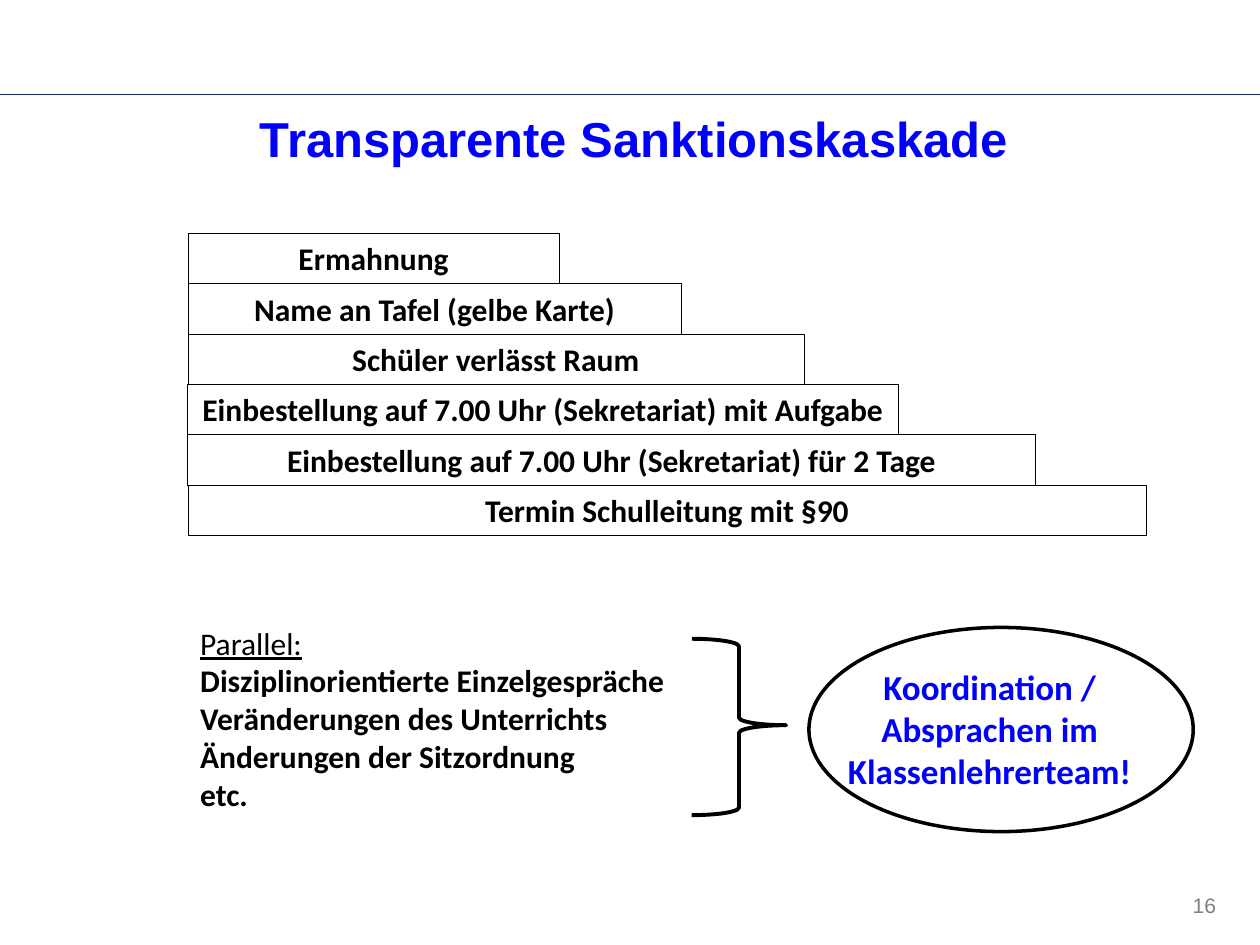
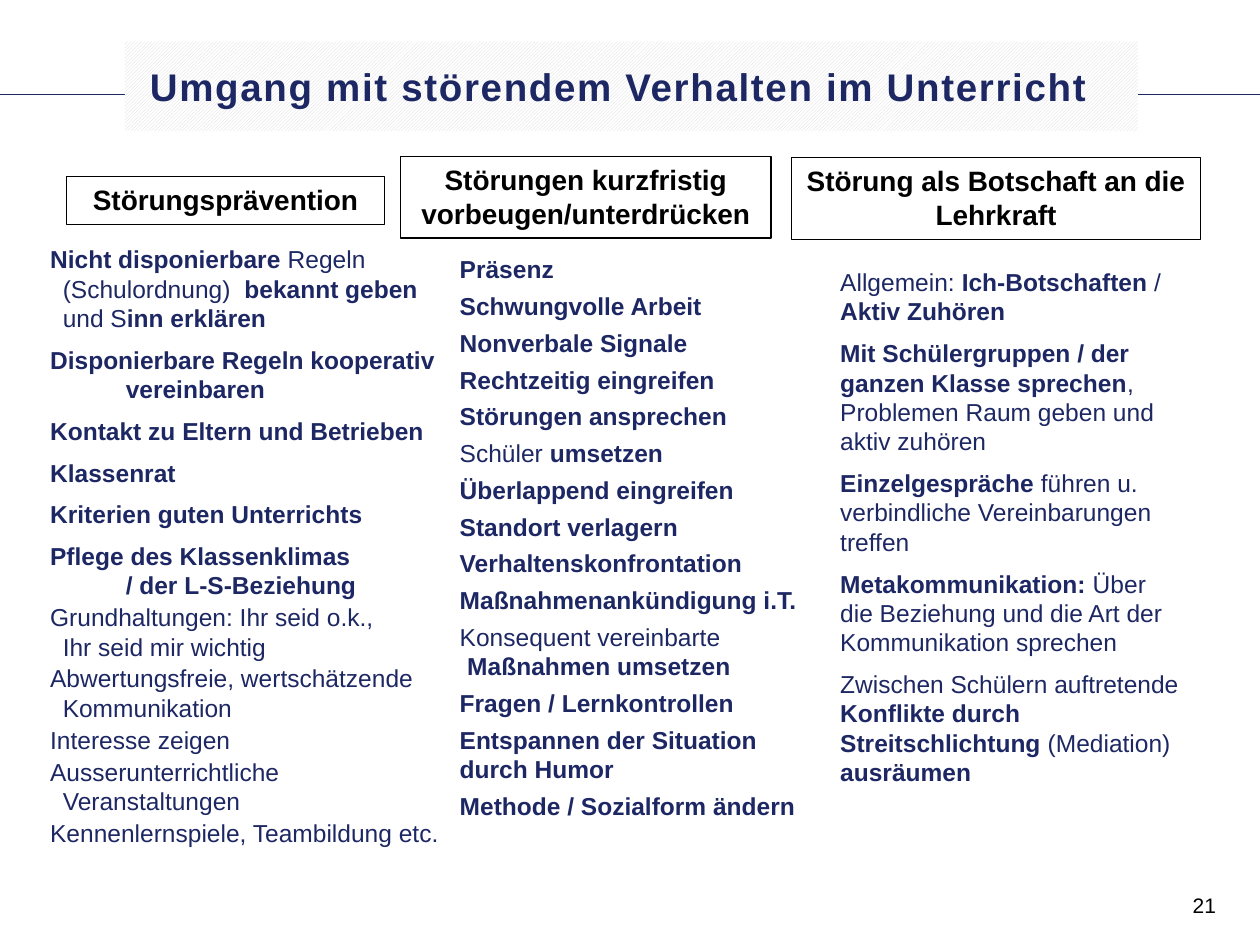
from dataclasses import dataclass

from lxml.etree import SubElement
from pptx import Presentation
from pptx.dml.color import RGBColor
from pptx.enum.dml import MSO_PATTERN
from pptx.enum.shapes import MSO_CONNECTOR, MSO_SHAPE
from pptx.enum.text import MSO_ANCHOR, MSO_AUTO_SIZE, PP_ALIGN
from pptx.oxml.ns import qn
from pptx.util import Inches, Pt


@dataclass(frozen=True)
class Theme:
    navy: str = "1D2763"
    blue: str = "0000FF"
    black: str = "000000"
    grey: str = "808080"
    hatch: str = "D9D9D9"
    white: str = "FFFFFF"
    sans: str = "Arial"
    body: str = "Calibri"
    title: int = 28
    band: int = 22
    call: int = 20
    step: int = 18
    head: int = 16
    list: int = 14
    page: int = 12


T = Theme()
LEFT, MID, RIGHT = PP_ALIGN.LEFT, PP_ALIGN.CENTER, PP_ALIGN.RIGHT


def rgb(code):
    return RGBColor.from_string(code)


# Text: *stars* mark bold parts, \v breaks a line
def write(shape, paras, size=T.list, font=T.sans, color=T.black, bold=False,
          under=False, align=LEFT, anchor=MSO_ANCHOR.TOP, gap=0, hang=0,
          tab=0, space=0):
    frame = shape.text_frame
    frame.word_wrap = True
    frame.auto_size = MSO_AUTO_SIZE.NONE
    frame.vertical_anchor = anchor
    for text in paras:
        first = not frame.text
        para = frame.paragraphs[0] if first else frame.add_paragraph()
        para.alignment = align
        para.space_before = Pt(0 if first else gap * size)
        props = para._p.get_or_add_pPr()
        if hang:
            props.set("marL", str(Inches(hang)))
            props.set("indent", str(-Inches(hang)))
        if tab:
            stops = SubElement(props, qn("a:tabLst"))
            SubElement(stops, qn("a:tab"), pos=str(Inches(tab)), algn="l")
        for i, part in enumerate(text.split("*")):
            for j, line in enumerate(part.split("\v")):
                if j:
                    para.add_line_break()
                if not line:
                    continue
                run = para.add_run()
                run.text = line
                face = run.font
                face.name, face.size = font, Pt(size)
                face.bold = bold or i % 2 == 1
                face.underline = under
                face.color.rgb = rgb(color)
                if space:
                    run._r.get_or_add_rPr().set("spc", str(space * 100))


def place(shape, at):
    shape.left, shape.top, shape.width, shape.height = map(Inches, at)


def textbox(slide, at, paras, **style):
    box = slide.shapes.add_textbox(*map(Inches, at))
    write(box, paras, **style)
    return box


def outline(slide, kind, at, width):
    shape = slide.shapes.add_shape(kind, *map(Inches, at))
    shape.shadow.inherit = False
    shape.fill.background()
    shape.line.color.rgb = rgb(T.black)
    shape.line.width = Pt(width)
    return shape


def framed(slide, at, text, width, **style):
    box = outline(slide, MSO_SHAPE.RECTANGLE, at, width)
    write(box, [text], bold=True, align=MID, **style)


def column(slide, at, groups):
    box = textbox(slide, at, [])
    for style, paras in groups:
        write(box, paras, color=T.navy, **style)


# Shared frame: rule behind the title, title, page number
def start(deck, title, at, page, tint, **style):
    slide = deck.slides.add_slide(deck.slide_layouts[5])
    rule = slide.shapes.add_connector(
        MSO_CONNECTOR.STRAIGHT, 0, Inches(0.75), Inches(10), Inches(0.75))
    rule.line.color.rgb = rgb(T.navy)
    rule.line.width = Pt(0.25)
    SubElement(rule._element.spPr, qn("a:effectLst"))
    slide.shapes._spTree.insert(2, rule._element)
    place(slide.shapes.title, at)
    write(slide.shapes.title, [title], bold=True,
          anchor=MSO_ANCHOR.MIDDLE, **style)
    textbox(slide, (9.1, 6.98, 0.65, 0.4), [page], size=T.page, color=tint,
            align=RIGHT, anchor=MSO_ANCHOR.MIDDLE)
    return slide


def cascade(deck):
    slide = start(deck, "Transparente Sanktionskaskade",
                  (1.84, 0.81, 6.38, 0.57), "16", T.grey,
                  size=T.title, color=T.blue, align=MID)
    # Growing steps
    steps = [
        (2.95, "Ermahnung"),
        (3.92, "Name an Tafel (gelbe Karte)"),
        (4.89, "Schüler verlässt Raum"),
        (5.64, "Einbestellung auf 7.00 Uhr (Sekretariat) mit Aufgabe"),
        (6.73, "Einbestellung auf 7.00 Uhr (Sekretariat) für 2 Tage"),
        (7.61, "Termin Schulleitung mit §90"),
    ]
    for i, (wide, text) in enumerate(steps):
        framed(slide, (1.49, 1.85 + 0.4 * i, wide, 0.4), text, 0.25,
               size=T.step, font=T.body)

    # Parallel measures
    box = textbox(slide, (1.49, 4.9, 7.61, 1.62), ["Parallel:"],
                  size=T.step, font=T.body, under=True)
    write(box, ["Disziplinorientierte Einzelgespräche",
                "Veränderungen des Unterrichts",
                "Änderungen der Sitzordnung", "etc."],
          size=T.step, font=T.body, bold=True)
    brace = outline(slide, MSO_SHAPE.RIGHT_BRACE, (5.49, 5.07, 0.75, 1.4), 2.25)
    brace.adjustments[0], brace.adjustments[1] = 0.08, 0.49

    # Team call
    textbox(slide, (6.62, 5.23, 2.47, 1.11),
            ["Koordination / Absprachen im Klassenlehrerteam!"],
            size=T.call, font=T.body, color=T.blue, bold=True, align=MID)
    outline(slide, MSO_SHAPE.OVAL, (6.42, 4.98, 3.05, 1.62), 2)


def methods(deck):
    slide = start(deck, "Umgang mit störendem Verhalten im Unterricht",
                  (0.99, 0.33, 8.04, 0.71), "21", T.black,
                  size=T.band, color=T.navy, space=1)
    # Hatched title band
    band = slide.shapes.title
    band.fill.patterned()
    band.fill.pattern = MSO_PATTERN.LIGHT_UPWARD_DIAGONAL
    band.fill.fore_color.rgb = rgb(T.hatch)
    band.fill.back_color.rgb = rgb(T.white)
    frame = band.text_frame
    frame.margin_left = frame.margin_right = Inches(0.2)
    frame.margin_top = frame.margin_bottom = Inches(0.12)

    # Column heads
    heads = [
        ((0.53, 1.4, 2.52, 0.38), "Störungsprävention"),
        ((3.18, 1.24, 2.94, 0.65),
         "Störungen kurzfristig vorbeugen/unterdrücken"),
        ((6.28, 1.25, 3.25, 0.65), "Störung als Botschaft an die Lehrkraft"),
    ]
    for at, text in heads:
        framed(slide, at, text, 0.75, size=T.head)

    # Prevention
    wide = dict(gap=0.5, hang=0.1)
    column(slide, (0.3, 1.89, 3.3, 5.05), [
        (dict(wide, tab=0.5), [
            "*Nicht disponierbare* Regeln (Schulordnung)  *bekannt geben*"
            " und S*inn erklären*",
            "*Disponierbare Regeln kooperativ\v\tvereinbaren*"]),
        (dict(wide, tab=0.23), [
            "*Kontakt zu Eltern und Betrieben*",
            "*Klassenrat*",
            "*Kriterien guten Unterrichts*",
            "*Pflege des Klassenklimas\v\t/ der L-S-Beziehung*"]),
        (dict(gap=0.1, hang=0.1), [
            "Grundhaltungen: Ihr seid o.k.,\vIhr seid mir wichtig",
            "Abwertungsfreie, wertschätzende Kommunikation",
            "Interesse zeigen",
            "Ausserunterrichtliche Veranstaltungen",
            "Kennenlernspiele, Teambildung etc."]),
    ])

    # Quick responses
    near = dict(gap=0.3)
    column(slide, (3.55, 1.97, 2.92, 5.07), [
        (near, [
            "*Präsenz*",
            "*Schwungvolle Arbeit*",
            "*Nonverbale Signale*",
            "*Rechtzeitig eingreifen*",
            "*Störungen ansprechen*",
            "Schüler *umsetzen*",
            "*Überlappend eingreifen*",
            "*Standort verlagern*",
            "*Verhaltenskonfrontation*",
            "*Maßnahmenankündigung i.T.*"]),
        (dict(near, hang=0.06), [
            "Konsequent vereinbarte\v*Maßnahmen umsetzen*"]),
        (near, [
            "*Fragen / Lernkontrollen*",
            "*Entspannen der Situation durch Humor*",
            "*Methode / Sozialform ändern*"]),
    ])

    # Message to the teacher
    column(slide, (6.57, 2.07, 2.92, 4.29), [
        (dict(gap=0.5), [
            "Allgemein: *Ich-Botschaften* / *Aktiv Zuhören*",
            "*Mit Schülergruppen / der ganzen Klasse sprechen*, "
            "Problemen Raum geben und aktiv zuhören",
            "*Einzelgespräche* führen u. verbindliche Vereinbarungen treffen",
            "*Metakommunikation:* Über die Beziehung und die Art der "
            "Kommunikation sprechen",
            "Zwischen Schülern auftretende *Konflikte durch "
            "Streitschlichtung* (Mediation) *ausräumen*"]),
    ])


def main():
    deck = Presentation()
    deck.slide_width, deck.slide_height = Inches(10), Inches(7.5)
    cascade(deck)
    methods(deck)
    deck.save("out.pptx")


if __name__ == "__main__":
    main()
